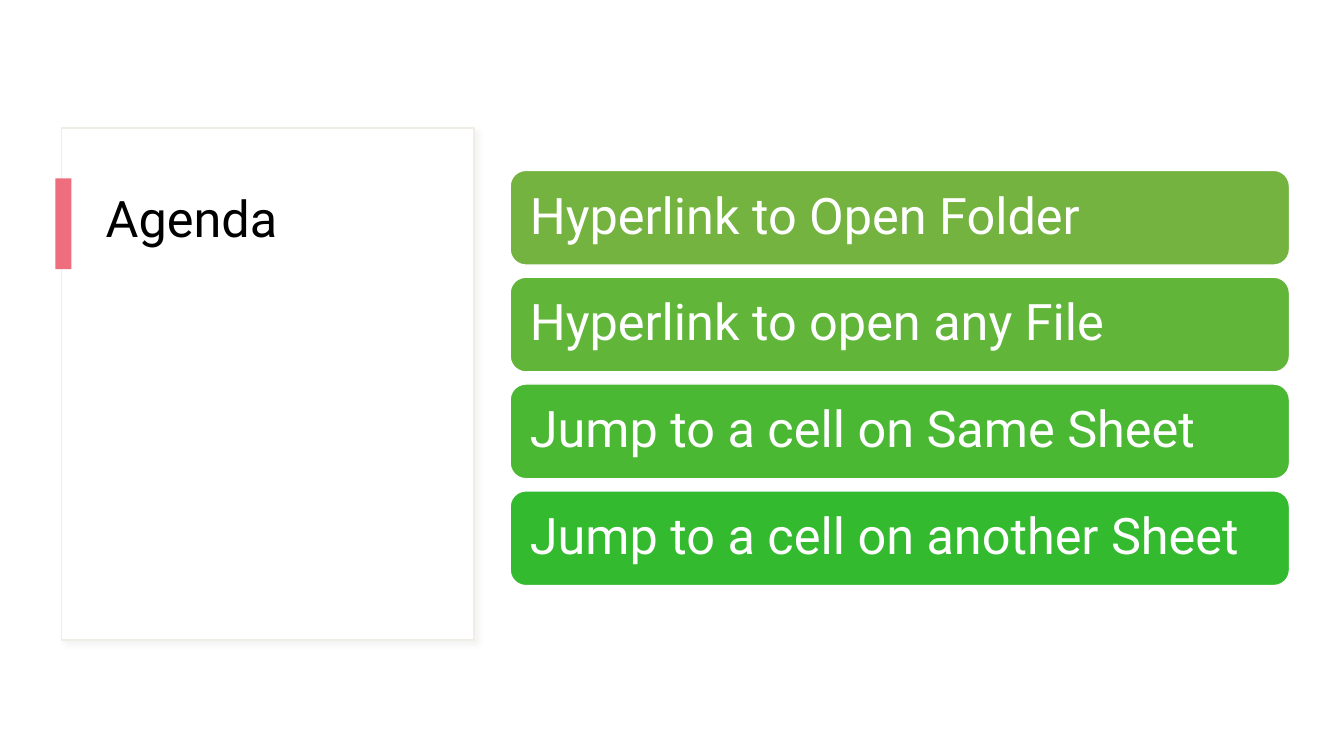
from lxml import etree
from pptx import Presentation
from pptx.dml.color import RGBColor
from pptx.enum.shapes import MSO_SHAPE
from pptx.enum.text import MSO_ANCHOR, PP_ALIGN
from pptx.oxml.ns import qn
from pptx.util import Inches, Pt

RECT, ROUNDED = MSO_SHAPE.RECTANGLE, MSO_SHAPE.ROUNDED_RECTANGLE
LEFT = PP_ALIGN.LEFT
TOP, MIDDLE = MSO_ANCHOR.TOP, MSO_ANCHOR.MIDDLE

# Content
HEADING = "Agenda"
TOPICS = [
    ("Hyperlink to Open Folder", "74B33F"),
    ("Hyperlink to open any File", "61B539"),
    ("Jump to a cell on Same Sheet", "4BB834"),
    ("Jump to a cell on another Sheet", "33BA2E"),
]

# Layout, in inches
PANEL = (0.61, 1.27, 4.09, 5.08)
ACCENT = (0.55, 1.77, 0.16, 0.9)
HEADING_BOX = (0.95, 1.88, 3.39, 3.85)
TOPIC_LEFT, TOPIC_TOP, TOPIC_WIDTH, TOPIC_HEIGHT = 5.06, 1.69, 7.73, 0.94
TOPIC_STEP = 1.06


def color(hex_code):
    return RGBColor.from_string(hex_code)


def add_block(slide, kind, box, fill, line=None):
    block = slide.shapes.add_shape(kind, *map(Inches, box))
    block.shadow.inherit = False
    block.fill.solid()
    block.fill.fore_color.rgb = color(fill)
    if line:
        block.line.color.rgb = color(line)
        block.line.width = Pt(1)
    else:
        block.line.fill.background()
    return block


def write(shape, text, hex_code, anchor, side, edge):
    frame = shape.text_frame
    frame.word_wrap = True
    frame.vertical_anchor = anchor
    frame.margin_left = frame.margin_right = Inches(side)
    frame.margin_top = frame.margin_bottom = Inches(edge)
    paragraph = frame.paragraphs[0]
    paragraph.text = text
    paragraph.alignment = LEFT
    paragraph.line_spacing = 0.9
    paragraph.font.name = "Roboto"
    paragraph.font.size = Pt(36)
    paragraph.font.color.rgb = color(hex_code)


def add_soft_shadow(shape, hex_code):
    effects = shape._element.spPr.find(qn("a:effectLst"))
    shadow = etree.SubElement(effects, qn("a:outerShdw"), blurRad=str(Pt(4)),
                              dist=str(Pt(3)), dir=str(45 * 60000))
    tint = etree.SubElement(shadow, qn("a:srgbClr"), val=hex_code)
    etree.SubElement(tint, qn("a:alpha"), val="30000")


def main():
    deck = Presentation()
    deck.slide_width, deck.slide_height = Inches(13.33), Inches(7.5)
    slide = deck.slides.add_slide(deck.slide_layouts[6])

    # Heading panel with its accent bar
    panel = add_block(slide, RECT, PANEL, "FFFFFF", "F0EDE5")
    add_soft_shadow(panel, "D9D9D9")
    heading = slide.shapes.add_textbox(*map(Inches, HEADING_BOX))
    write(heading, HEADING, "000000", TOP, 0.1, 0.05)
    add_block(slide, RECT, ACCENT, "EE6E7E")

    # Stack of agenda topics
    for row, (topic, fill) in enumerate(TOPICS):
        box = (TOPIC_LEFT, TOPIC_TOP + row * TOPIC_STEP, TOPIC_WIDTH, TOPIC_HEIGHT)
        bar = add_block(slide, ROUNDED, box, fill, "FFFFFF")
        write(bar, topic, "FFFFFF", MIDDLE, 0.15, 0.1)

    deck.save("out.pptx")


if __name__ == "__main__":
    main()
